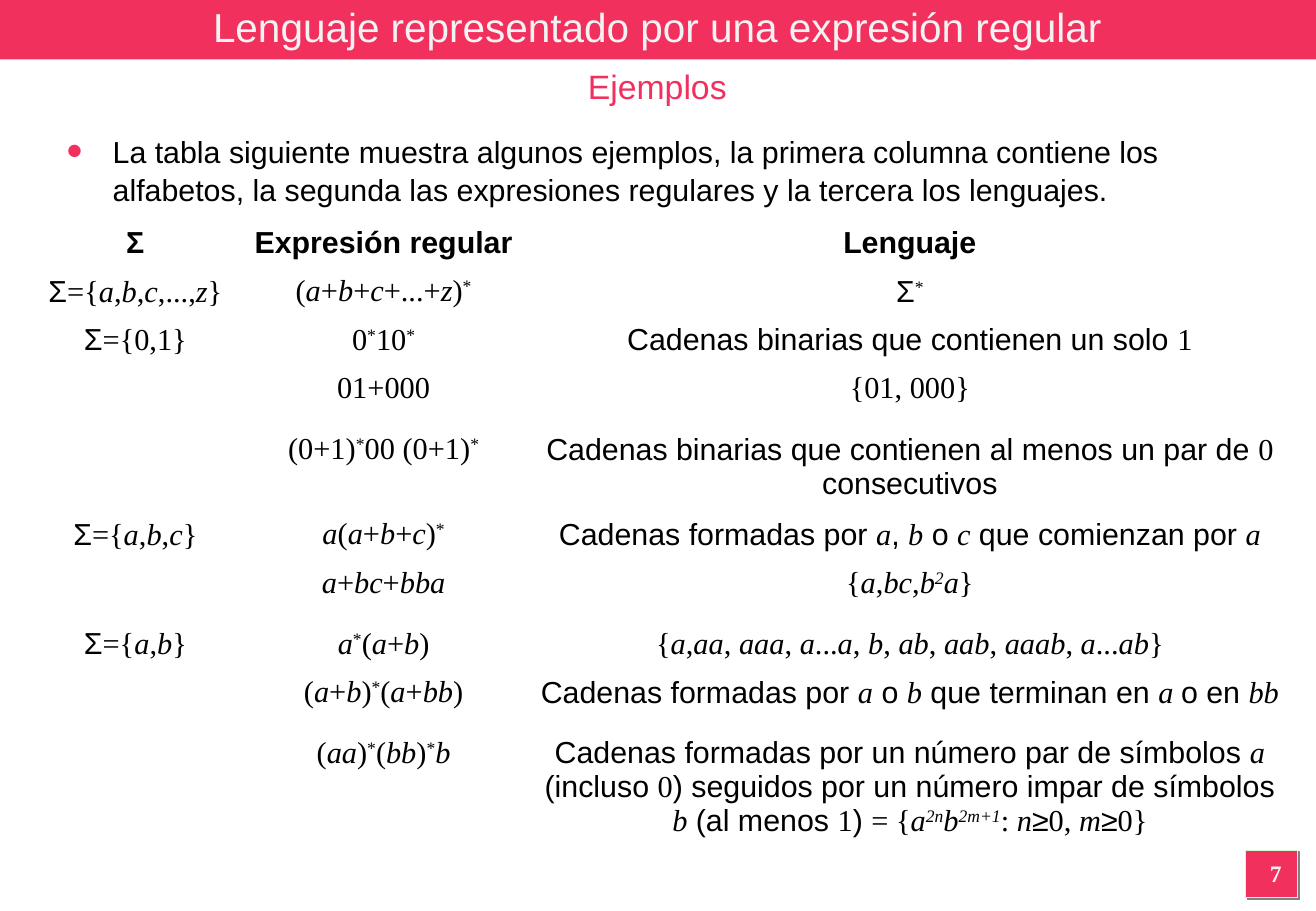
from dataclasses import dataclass
from itertools import groupby

from lxml import etree
from pptx import Presentation
from pptx.dml.color import RGBColor
from pptx.enum import shapes, text
from pptx.oxml import ns
from pptx.util import Inches, Pt


@dataclass(frozen=True)
class Theme:
    accent: RGBColor = RGBColor(0xF2, 0x30, 0x5E)
    light: RGBColor = RGBColor(0xF2, 0xF2, 0xF2)
    ink: RGBColor = RGBColor(0, 0, 0)
    edge: RGBColor = RGBColor(0xCC, 0xFF, 0xCC)
    shade: str = "808080"
    sans: str = "Arial"
    serif: str = "Times New Roman"
    title: int = 24
    sub: int = 20
    body: int = 18
    page: int = 14


THEME = Theme()

# $...$ is mathematics, with letters in italics; ^...^ in it is raised
ROWS = [
    ("Σ", "Expresión regular", "Lenguaje"),
    ("Σ$={a,b,c,...,z}$", "$(a+b+c+...+z)^*^$", "Σ$^*^$"),
    ("Σ$={0,1}$", "$0^*^10^*^$", "Cadenas binarias que contienen un solo $1$"),
    ("", "$01+000$", "${01, 000}$"),
    ("", "$(0+1)^*^00 (0+1)^*^$",
     "Cadenas binarias que contienen al menos un par de $0$ consecutivos"),
    ("Σ$={a,b,c}$", "$a(a+b+c)^*^$",
     "Cadenas formadas por $a$, $b$ o $c$ que comienzan por $a$"),
    ("", "$a+bc+bba$", "${a,bc,b^2^a}$"),
    ("Σ$={a,b}$", "$a^*^(a+b)$",
     "${a,aa, aaa, a...a, b, ab, aab, aaab, a...ab}$"),
    ("", "$(a+b)^*^(a+bb)$",
     "Cadenas formadas por $a$ o $b$ que terminan en $a $o en $bb$"),
    ("", "$(aa)^*^(bb)^*^b$",
     "Cadenas formadas por un número par de símbolos $a$ (incluso $0$) "
     "seguidos por un número impar de símbolos $b$ (al menos $1$) "
     "$= {a^2n^b^2m+1^: n$≥$0, m$≥$0}$"),
]
WIDTHS = (1.71, 2.38, 6.29)
HEIGHTS = (0.4, 0.4, 0.4, 0.5, 0.7, 0.4, 0.5, 0.4, 0.5, 1)


def place(shape, left, top, width, height):
    shape.left, shape.top = Inches(left), Inches(top)
    shape.width, shape.height = Inches(width), Inches(height)


def style(para, size, color, name, bold=False, align=text.PP_ALIGN.CENTER):
    para.alignment = align
    font = para.font
    font.size, font.name, font.bold = Pt(size), name, bold
    font.color.rgb = color


def add_rect(slide, *area):
    rect = slide.shapes.add_shape(
        shapes.MSO_SHAPE.RECTANGLE, *map(Inches, area))
    rect.shadow.inherit = False
    rect.fill.solid()
    rect.fill.fore_color.rgb = THEME.accent
    rect.line.fill.background()
    return rect


def add_shade(shape):
    effects = shape._element.spPr.find(ns.qn("a:effectLst"))
    shadow = etree.SubElement(effects, ns.qn("a:outerShdw"),
                              dist=str(Pt(1.4)), dir="2700000")
    etree.SubElement(shadow, ns.qn("a:srgbClr"), val=THEME.shade)


def add_text(slide, words, *area):
    box = slide.shapes.add_textbox(*map(Inches, area))
    box.text_frame.word_wrap = True
    para = box.text_frame.paragraphs[0]
    para.text = words
    return para


def add_bullet(para, indent):
    props = para._p.get_or_add_pPr()
    props.set("marL", str(Inches(indent)))
    props.set("indent", str(-Inches(indent)))
    color = etree.SubElement(props, ns.qn("a:buClr"))
    etree.SubElement(color, ns.qn("a:srgbClr"), val=str(THEME.accent))
    etree.SubElement(props, ns.qn("a:buSzPct"), val="150000")
    etree.SubElement(props, ns.qn("a:buFont"), typeface=THEME.sans)
    etree.SubElement(props, ns.qn("a:buChar"), char="•")


def add_run(para, words, name, italic=False, raised=False):
    run = para.add_run()
    run.text = words
    run.font.name = name
    if italic:
        run.font.italic = True
    if raised:
        run.font._element.set("baseline", "30000")


def add_math(para, formula):
    for i, part in enumerate(formula.split("^")):
        if i % 2:
            add_run(para, part, THEME.serif, part != "*", True)
        else:
            for italic, chars in groupby(part, str.isalpha):
                add_run(para, "".join(chars), THEME.serif, italic)


def fill_cell(cell, words, bold):
    cell.fill.background()
    para = cell.text_frame.paragraphs[0]
    style(para, THEME.body, THEME.ink, THEME.sans, bold)
    for i, part in enumerate(words.split("$")):
        if i % 2:
            add_math(para, part)
        elif part:
            add_run(para, part, THEME.sans)


def add_grid(slide, left, top):
    area = (left, top, sum(WIDTHS), sum(HEIGHTS))
    table = slide.shapes.add_table(
        len(ROWS), len(WIDTHS), *map(Inches, area)).table
    table.first_row = table.horz_banding = False
    for col, width in zip(table.columns, WIDTHS):
        col.width = Inches(width)
    for i, (row, height, entries) in enumerate(
            zip(table.rows, HEIGHTS, ROWS)):
        row.height = Inches(height)
        for cell, words in zip(row.cells, entries):
            fill_cell(cell, words, i == 0)


def add_title(slide, words, *area):
    title = slide.shapes.title
    place(title, *area)
    frame = title.text_frame
    frame.text = words
    frame.auto_size = text.MSO_AUTO_SIZE.NONE
    frame.vertical_anchor = text.MSO_ANCHOR.MIDDLE
    style(frame.paragraphs[0], THEME.title, THEME.light, THEME.sans)
    # Bring the title in front of its band
    slide.shapes._spTree.append(title._element)


def main():
    deck = Presentation()
    deck.slide_width, deck.slide_height = Inches(10.84), Inches(7.5)
    slide = deck.slides.add_slide(deck.slide_layouts[5])

    # Heading
    add_rect(slide, 0, 0, 10.84, 0.49)
    add_title(slide, "Lenguaje representado por una expresión regular",
              0, 0, 10.83, 0.44)
    sub = add_text(slide, "Ejemplos", 0, 0.49, 10.83, 0.44)
    style(sub, THEME.sub, THEME.accent, THEME.sans)

    # Introduction
    intro = add_text(
        slide, "La tabla siguiente muestra algunos ejemplos, la primera "
        "columna contiene los alfabetos, la segunda las expresiones "
        "regulares y la tercera los lenguajes.", 0.45, 1.03, 9.96, 0.75)
    add_bullet(intro, 0.38)
    intro.line_spacing = 1.05
    style(intro, THEME.body, THEME.ink, THEME.sans,
          align=text.PP_ALIGN.LEFT)

    # Table of examples
    add_grid(slide, 0.26, 1.81)

    # Page number
    badge = add_rect(slide, 10.26, 7, 0.43, 0.39)
    badge.line.color.rgb = THEME.edge
    badge.line.width = Pt(0.75)
    add_shade(badge)
    page = add_text(slide, "7", 10.24, 7.02, 0.54, 0.35)
    style(page, THEME.page, THEME.light, THEME.serif, bold=True)

    deck.save("out.pptx")


if __name__ == "__main__":
    main()
